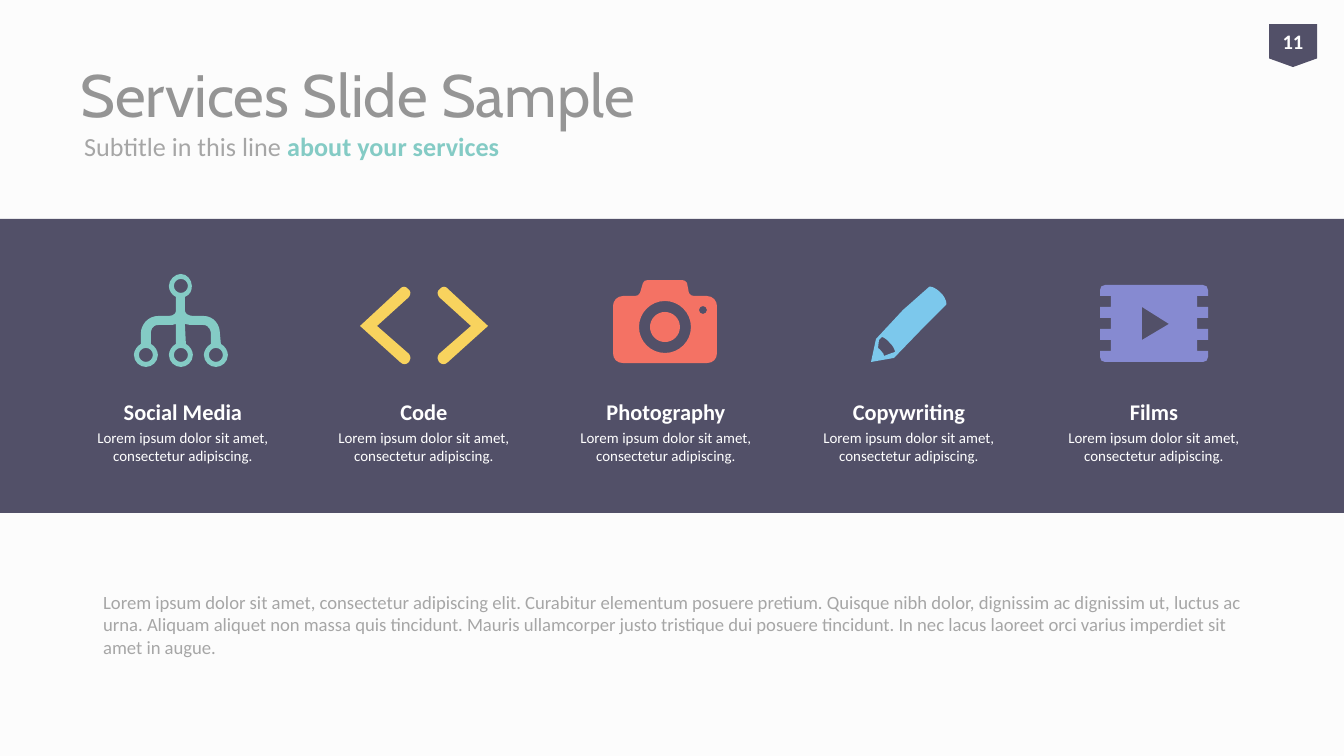
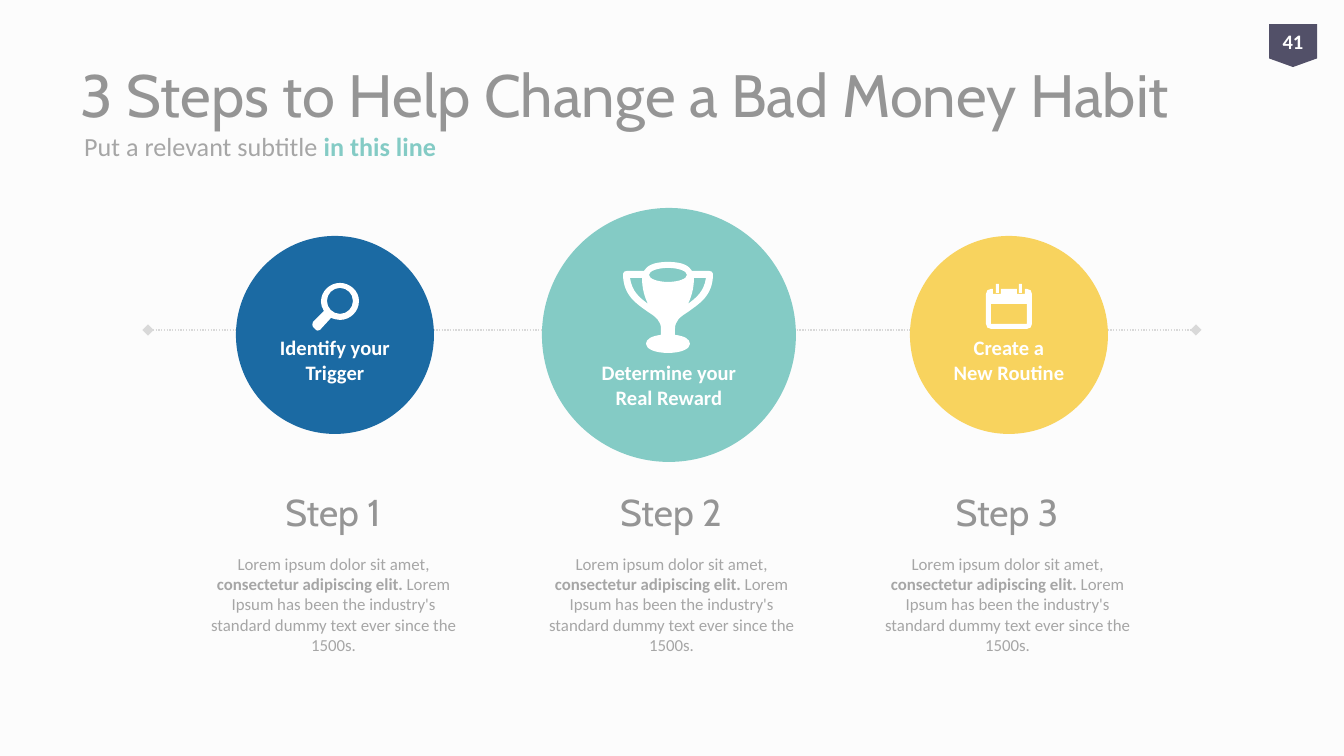
from dataclasses import dataclass

from lxml import etree
from pptx import Presentation
from pptx.dml.color import RGBColor
from pptx.enum.dml import MSO_LINE
from pptx.enum.shapes import MSO_CONNECTOR, MSO_SHAPE
from pptx.enum.text import MSO_ANCHOR, MSO_AUTO_SIZE, PP_ALIGN
from pptx.oxml.ns import qn
from pptx.util import Emu, Pt

LEFT, CENTER = PP_ALIGN.LEFT, PP_ALIGN.CENTER
TOP, MIDDLE = MSO_ANCHOR.TOP, MSO_ANCHOR.MIDDLE
RECTANGLE, OVAL = MSO_SHAPE.RECTANGLE, MSO_SHAPE.OVAL
BADGE = MSO_SHAPE.FLOWCHART_OFFPAGE_CONNECTOR
STRAIGHT = MSO_CONNECTOR.STRAIGHT
DOTTED = MSO_LINE.ROUND_DOT
NO_AUTOFIT = MSO_AUTO_SIZE.NONE

EMU_PER_PX = 9144000 / 1344
SLIDE_WIDTH, SLIDE_HEIGHT = 1344, 756
ARC_HANDLE = 0.55

Contour = list[list[tuple[float, float]]]
Box = tuple[int, int, int, int]


@dataclass(frozen=True)
class Theme:
    heading_font: str = "Cabin"
    body_font: str = "Calibri"
    background: str = "FCFCFC"
    dark: str = "525068"
    white: str = "FFFFFF"
    heading: str = "959595"
    body: str = "A6A6A6"
    rule: str = "D9D9D9"
    teal: str = "84CBC5"
    yellow: str = "F8D35E"
    coral: str = "F47264"
    sky: str = "7CC8EC"
    violet: str = "868AD1"
    blue: str = "1B6AA3"
    title_size: int = 32
    step_size: int = 20
    subtitle_size: int = 14
    service_size: int = 12
    label_size: int = 11
    paragraph_size: int = 10
    step_body_size: int = 9
    service_body_size: int = 8


THEME = Theme()


@dataclass(frozen=True)
class Service:
    name: str
    center: int
    color: str
    icon: list[Contour]


@dataclass(frozen=True)
class Step:
    label: str
    circle_center: int
    text_center: int
    diameter: int
    text_drop: int
    color: str
    icon: list[Contour]


def px(length: float) -> Emu:
    return Emu(round(length * EMU_PER_PX))


def rgb(color: str) -> RGBColor:
    return RGBColor.from_string(color)


def trace(outline: str) -> Contour:
    commands = outline.replace("L", "|L").replace("C", "|C").split("|")
    numbers = [[int(word) for word in command.split()[1:]] for command in commands]
    return [list(zip(values[::2], values[1::2])) for values in numbers]


def mirror(contour: Contour, axis: float) -> Contour:
    return [[(2 * axis - x, y) for x, y in segment] for segment in contour]


def complete(half: Contour, axis: float) -> Contour:
    mirrored = mirror(half, axis)
    pairs = reversed(list(zip(mirrored, mirrored[1:])))
    return half + [[*segment[-2::-1], before[-1]] for before, segment in pairs]


def ellipse(x: int, y: int, radius_x: int, radius_y: int) -> Contour:
    reach_x, reach_y = radius_x * ARC_HANDLE, radius_y * ARC_HANDLE
    right, top, bottom = x + radius_x, y - radius_y, y + radius_y
    return complete([
        [(x, top)],
        [(x + reach_x, top), (right, y - reach_y), (right, y)],
        [(right, y + reach_y), (x + reach_x, bottom), (x, bottom)],
    ], x)


def circle(x: int, y: int, radius: int) -> Contour:
    return ellipse(x, y, radius, radius)


def network_icon() -> list[Contour]:
    def bulb(x: int) -> str:
        return (f"L {x - 5} 344 C {x - 9} 346 {x - 12} 351 {x - 12} 355 "
                f"C {x - 12} 362 {x - 6} 367 {x} 367 C {x + 6} 367 {x + 12} 362 {x + 12} 355 "
                f"C {x + 12} 351 {x + 9} 346 {x + 5} 344 ")

    outline = trace(
        "M 221 344 L 220 333 C 220 326 215 316 203 316 L 194 316 C 187 316 185 313 185 310 "
        "L 185 297 C 190 295 192 291 192 286 C 192 280 187 274 181 274 "
        "C 175 274 169 280 169 286 C 169 291 172 295 176 297 L 176 310 "
        "C 176 312 176 316 168 316 L 159 316 C 147 316 141 326 141 333 " + bulb(146)
        + "L 151 333 C 151 332 151 325 159 325 L 168 325 C 172 325 174 325 176 324 " + bulb(181)
        + "L 185 324 C 188 325 191 325 194 325 L 203 325 C 210 325 211 332 211 333 " + bulb(216)
    )
    return [outline, circle(181, 286, 7), *(circle(x, 355, 7) for x in (146, 181, 216))]


def code_icon() -> list[Contour]:
    bracket = trace(
        "M 408 289 C 406 286 402 286 400 289 L 360 326 L 400 362 C 403 365 406 365 409 362 "
        "C 411 360 411 357 409 354 L 377 326 L 409 297 C 411 294 411 291 408 289"
    )
    return [bracket, mirror(bracket, 424)]


def camera_icon() -> list[Contour]:
    body = trace(
        "M 707 296 L 694 296 C 692 296 690 295 689 293 L 687 283 C 686 281 684 280 682 280 "
        "L 648 280 C 645 280 644 281 643 283 L 640 293 C 639 295 637 296 635 296 L 623 296 "
        "C 617 296 613 301 613 306 L 613 353 C 613 359 617 363 623 363 L 707 363 "
        "C 713 363 717 359 717 353 L 717 306 C 717 301 713 296 707 296"
    )
    return [body, circle(665, 327, 26), circle(665, 327, 15), circle(703, 310, 4)]


def pencil_icon() -> list[Contour]:
    body = trace(
        "M 871 362 L 876 339 L 903 310 L 929 287 C 929 286 934 286 941 293 "
        "C 947 299 947 305 946 305 L 922 329 L 894 358"
    )
    tip = trace(
        "M 892 353 L 884 356 C 884 354 883 353 882 352 C 881 350 879 349 878 348 L 879 340 "
        "L 882 337 C 882 337 886 338 890 343 C 895 348 895 352 895 352"
    )
    return [body, tip]


def film_icon() -> list[Contour]:
    notches = " ".join(f"L 1100 {y} L 1111 {y} L 1111 {y + 11} L 1100 {y + 11}"
                       for y in range(296, 352, 22))
    left_half = trace("M 1154 285 L 1105 285 C 1102 285 1100 287 1100 290 " + notches
                      + " L 1100 357 C 1100 360 1102 362 1105 362 L 1154 362")
    return [complete(left_half, 1154), trace("M 1142 307 L 1169 324 L 1142 340")]


def magnifier_icon() -> list[Contour]:
    outline = trace(
        "M 313 327 L 316 330 C 317 331 318 331 320 330 L 331 318 C 334 319 337 320 340 320 "
        "C 350 320 359 312 359 301 C 359 291 350 283 340 283 C 330 283 321 291 321 302 "
        "C 321 305 322 308 324 311 L 313 322 C 312 324 312 326 313 327"
    )
    return [outline, circle(340, 301, 13)]


def trophy_icon() -> list[Contour]:
    right_half = trace(
        "M 668 262 C 683 262 689 266 692 271 L 709 271 C 711 271 713 272 713 274 "
        "C 713 296 699 304 688 312 C 680 317 675 321 675 329 L 675 335 "
        "C 684 336 690 339 690 344 C 690 349 681 353 668 353"
    )
    handle = trace("M 688 304 C 691 298 694 289 694 278 L 706 278 C 704 292 696 298 688 304")
    return [complete(right_half, 668), handle, mirror(handle, 668), ellipse(668, 275, 19, 7)]


def calendar_icon() -> list[Contour]:
    left_half = trace(
        "M 1009 289 L 1001 289 L 1001 294 L 993 294 L 993 289 L 991 289 "
        "C 988 289 986 291 986 294 L 986 324 C 986 327 988 329 991 329 L 1009 329"
    )
    page = trace("M 991 304 L 1027 304 L 1027 324 L 991 324")
    ring = trace("M 996 284 L 999 284 L 999 293 L 996 293")
    return [complete(left_half, 1009), page, ring, mirror(ring, 1009)]


def append_text(paragraph, text: str, *, size: float, color: str,
                font: str = THEME.body_font, bold: bool = False, align=LEFT) -> None:
    paragraph.alignment = align
    run = paragraph.add_run()
    run.text = text
    run.font.name, run.font.size, run.font.bold = font, Pt(size), bold
    run.font.color.rgb = rgb(color)


def add_text_box(slide, box: Box, anchor=TOP):
    text_frame = slide.shapes.add_textbox(*map(px, box)).text_frame
    text_frame.word_wrap = True
    text_frame.vertical_anchor = anchor
    return text_frame


def paint(shape, color: str) -> None:
    shape.shadow.inherit = False
    shape.fill.solid()
    shape.fill.fore_color.rgb = rgb(color)
    shape.line.fill.background()


def add_preset(slide, kind, box: Box, color: str):
    shape = slide.shapes.add_shape(kind, *map(px, box))
    paint(shape, color)
    return shape


def add_icon(slide, contours: list[Contour], color: str) -> None:
    builder = slide.shapes.build_freeform(*map(px, contours[0][0][0]), scale=1.0)
    for index, contour in enumerate(contours):
        start, *anchors = [tuple(map(px, segment[-1])) for segment in contour]
        if index:
            builder.move_to(*start)
        builder.add_line_segments(anchors, close=True)
    shape = builder.convert_to_shape()
    paint(shape, color)
    segments = [segment for contour in contours for segment in contour[1:]]
    for line, segment in zip(list(shape._element.iter(qn("a:lnTo"))), segments):
        if len(segment) == 3:
            line.tag = qn("a:cubicBezTo")
            for position, (x, y) in enumerate(segment[:2]):
                line.insert(position, etree.Element(
                    qn("a:pt"), x=str(px(x) - shape.left), y=str(px(y) - shape.top)))


def add_shape_label(shape, text: str, side_inset: int, top_inset: int) -> None:
    text_frame = shape.text_frame
    text_frame.word_wrap = True
    text_frame.vertical_anchor = MIDDLE
    text_frame.margin_left = text_frame.margin_right = px(side_inset)
    text_frame.margin_top, text_frame.margin_bottom = px(top_inset), 0
    append_text(text_frame.paragraphs[0], text, size=THEME.label_size,
                color=THEME.white, bold=True, align=CENTER)


def add_base_slide(presentation, title: str, title_box: Box, subtitle: str,
                   highlight: str, number: int):
    slide = presentation.slides.add_slide(presentation.slide_layouts[5])
    slide.background.fill.solid()
    slide.background.fill.fore_color.rgb = rgb(THEME.background)
    heading = slide.shapes.title
    heading.left, heading.top, heading.width, heading.height = map(px, title_box)
    heading.text_frame.word_wrap = True
    heading.text_frame.auto_size = NO_AUTOFIT
    heading.text_frame.vertical_anchor = MIDDLE
    append_text(heading.text_frame.paragraphs[0], title, size=THEME.title_size,
                color=THEME.heading, font=THEME.heading_font)
    paragraph = add_text_box(slide, (71, 119, 1210, 54), MIDDLE).paragraphs[0]
    append_text(paragraph, subtitle, size=THEME.subtitle_size, color=THEME.body)
    append_text(paragraph, highlight, size=THEME.subtitle_size, color=THEME.teal, bold=True)
    badge = add_preset(slide, BADGE, (1269, 24, 48, 43), THEME.dark)
    add_shape_label(badge, str(number), 0, 0)
    return slide


def add_service(slide, service: Service) -> None:
    add_icon(slide, service.icon, service.color)
    text_frame = add_text_box(slide, (service.center - 101, 392, 202, 81))
    append_text(text_frame.paragraphs[0], service.name, size=THEME.service_size,
                color=THEME.white, bold=True, align=CENTER)
    paragraph = text_frame.add_paragraph()
    paragraph.space_before = Pt(1.6)
    append_text(paragraph, "Lorem ipsum dolor sit amet, consectetur adipiscing.",
                size=THEME.service_body_size, color=THEME.white, align=CENTER)


def add_timeline(slide) -> None:
    connector = slide.shapes.add_connector(STRAIGHT, px(148), px(330), px(1196), px(330))
    connector.line.color.rgb = rgb(THEME.rule)
    connector.line.width = Pt(0.75)
    connector.line.dash_style = DOTTED
    line = connector.line._get_or_add_ln()
    for end in ("a:headEnd", "a:tailEnd"):
        etree.SubElement(line, qn(end), type="diamond")
    etree.SubElement(connector._element.spPr, qn("a:effectLst"))


def add_step(slide, number: int, step: Step) -> None:
    radius = step.diameter // 2
    disc = add_preset(slide, OVAL, (step.circle_center - radius, 335 - radius,
                                    step.diameter, step.diameter), step.color)
    add_shape_label(disc, step.label, 14, step.text_drop)
    add_icon(slide, step.icon, THEME.white)
    heading = add_text_box(slide, (step.text_center - 154, 482, 308, 60), MIDDLE)
    append_text(heading.paragraphs[0], f"Step {number}", size=THEME.step_size,
                color=THEME.heading, font=THEME.heading_font, align=CENTER)
    body = add_text_box(slide, (step.text_center - 144, 547, 289, 108)).paragraphs[0]
    for text, bold in (
        ("Lorem ipsum dolor sit amet, ", False),
        ("consectetur adipiscing elit. ", True),
        ("Lorem Ipsum has been the industry's standard dummy text ever since the 1500s.", False),
    ):
        append_text(body, text, size=THEME.step_body_size, color=THEME.body,
                    bold=bold, align=CENTER)


def build_services_slide(presentation) -> None:
    slide = add_base_slide(presentation, "Services Slide Sample", (67, 54, 1210, 79),
                           "Subtitle in this line ", "about your services", 11)
    add_preset(slide, RECTANGLE, (0, 219, SLIDE_WIDTH, 294), THEME.dark)
    for service in (
        Service("Social Media", 183, THEME.teal, network_icon()),
        Service("Code", 424, THEME.yellow, code_icon()),
        Service("Photography", 666, THEME.coral, camera_icon()),
        Service("Copywriting", 909, THEME.sky, pencil_icon()),
        Service("Films", 1154, THEME.violet, film_icon()),
    ):
        add_service(slide, service)
    summary = add_text_box(slide, (90, 584, 1175, 90)).paragraphs[0]
    append_text(summary, "Lorem ipsum dolor sit amet, consectetur adipiscing elit. Curabitur "
                "elementum posuere pretium. Quisque nibh dolor, dignissim ac dignissim ut, "
                "luctus ac urna. Aliquam aliquet non massa quis tincidunt. Mauris ullamcorper "
                "justo tristique dui posuere tincidunt. In nec lacus laoreet orci varius "
                "imperdiet sit amet in augue.", size=THEME.paragraph_size, color=THEME.body)


def build_steps_slide(presentation) -> None:
    slide = add_base_slide(presentation, "3 Steps to Help Change a Bad Money Habit",
                           (67, 31, 1210, 126), "Put a relevant subtitle ", "in this line", 41)
    add_timeline(slide)
    for number, step in enumerate((
        Step("Identify your Trigger", 335, 333, 198, 50, THEME.blue, magnifier_icon()),
        Step("Determine your Real Reward", 669, 671, 254, 100, THEME.teal, trophy_icon()),
        Step("Create a New Routine", 1009, 1007, 198, 50, THEME.yellow, calendar_icon()),
    ), start=1):
        add_step(slide, number, step)


def main() -> None:
    presentation = Presentation()
    presentation.slide_width, presentation.slide_height = px(SLIDE_WIDTH), px(SLIDE_HEIGHT)
    build_services_slide(presentation)
    build_steps_slide(presentation)
    presentation.save("out.pptx")


if __name__ == "__main__":
    main()
